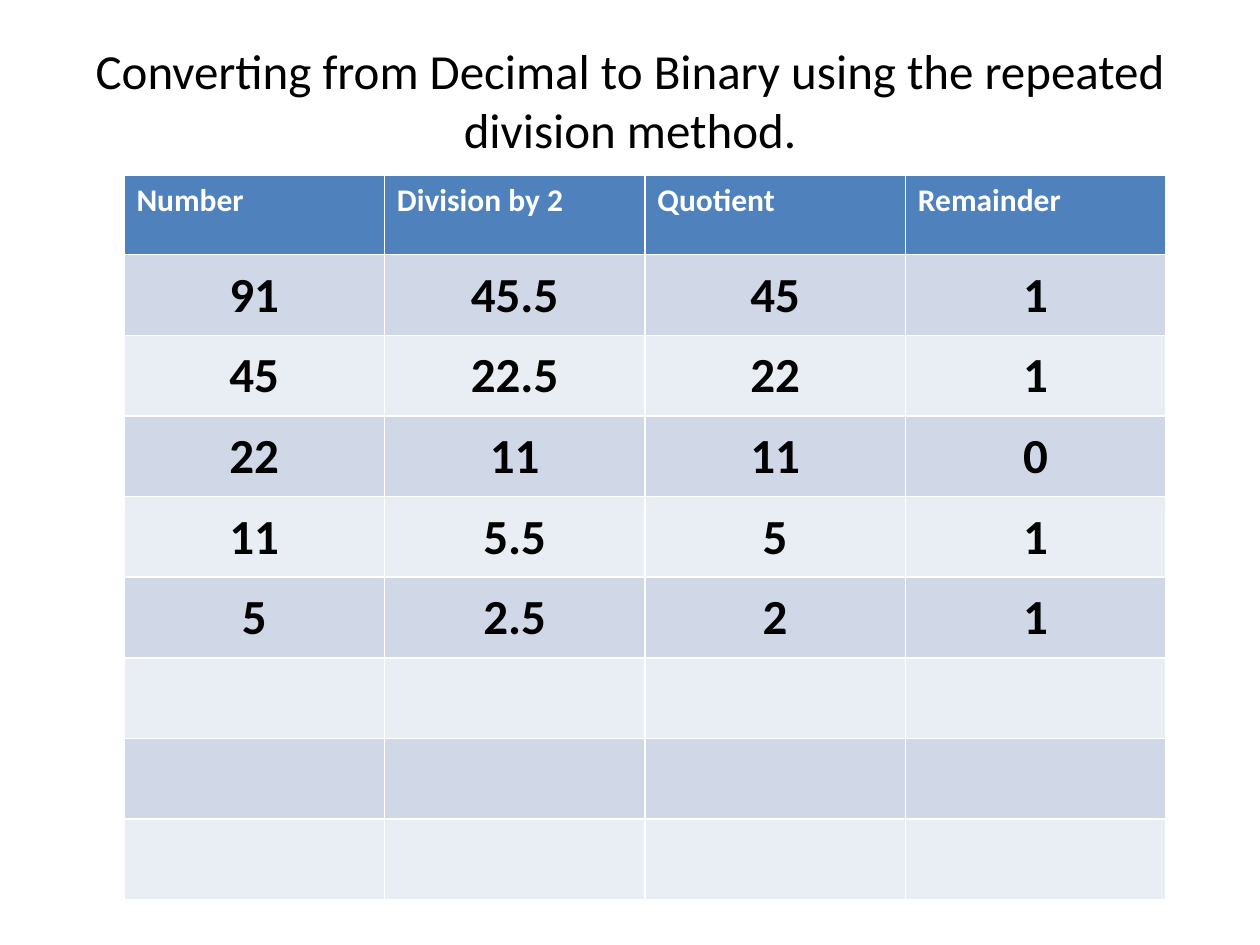
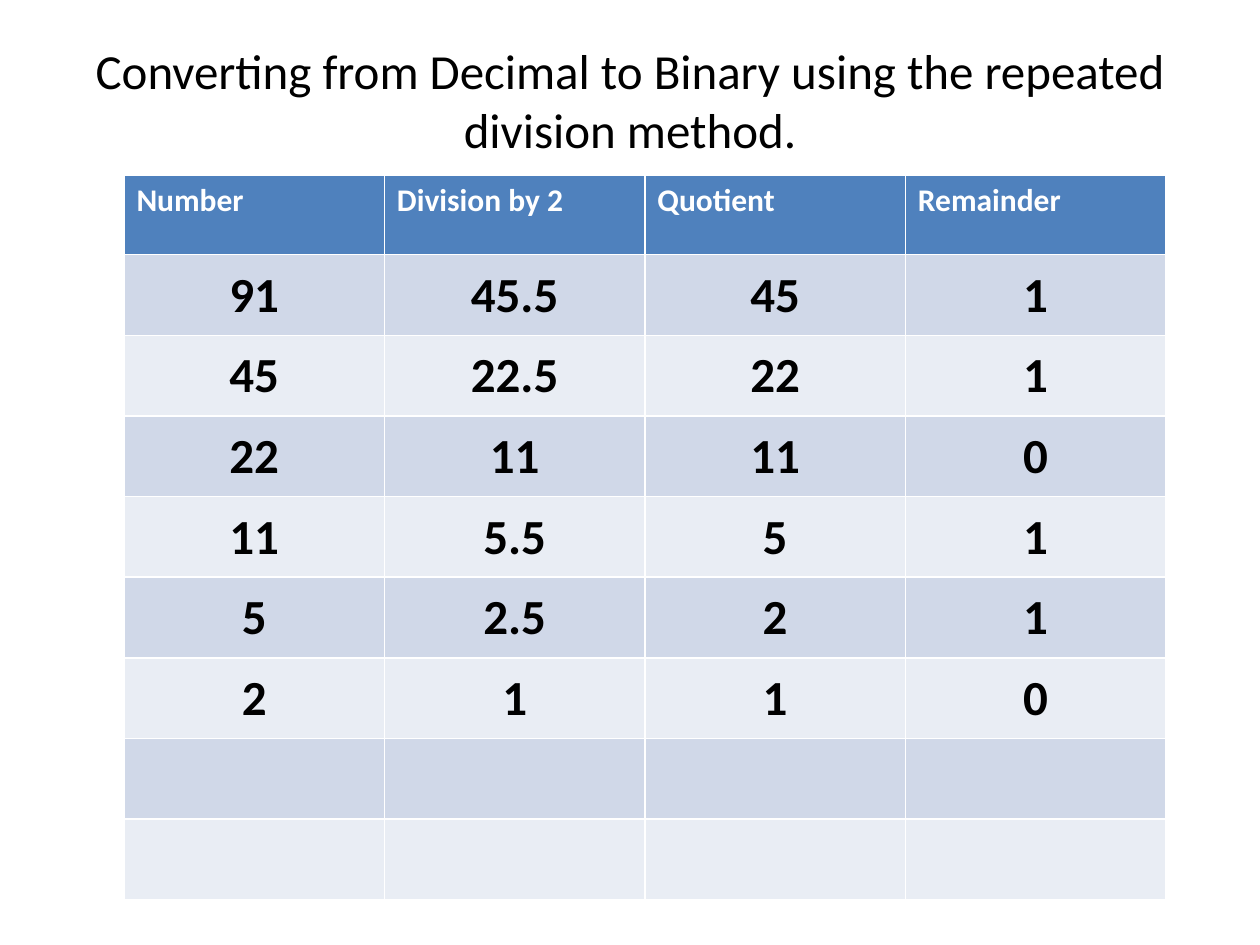
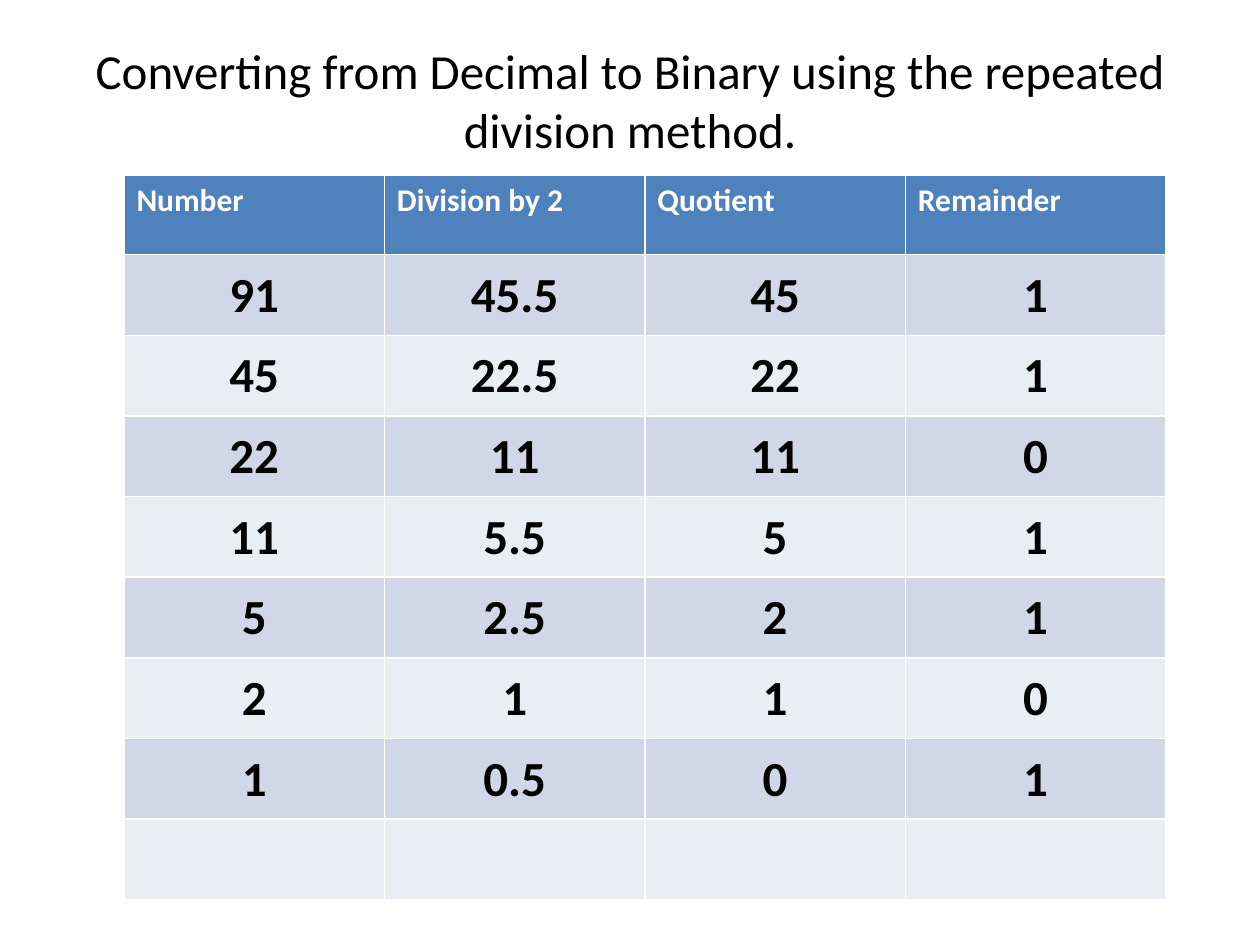
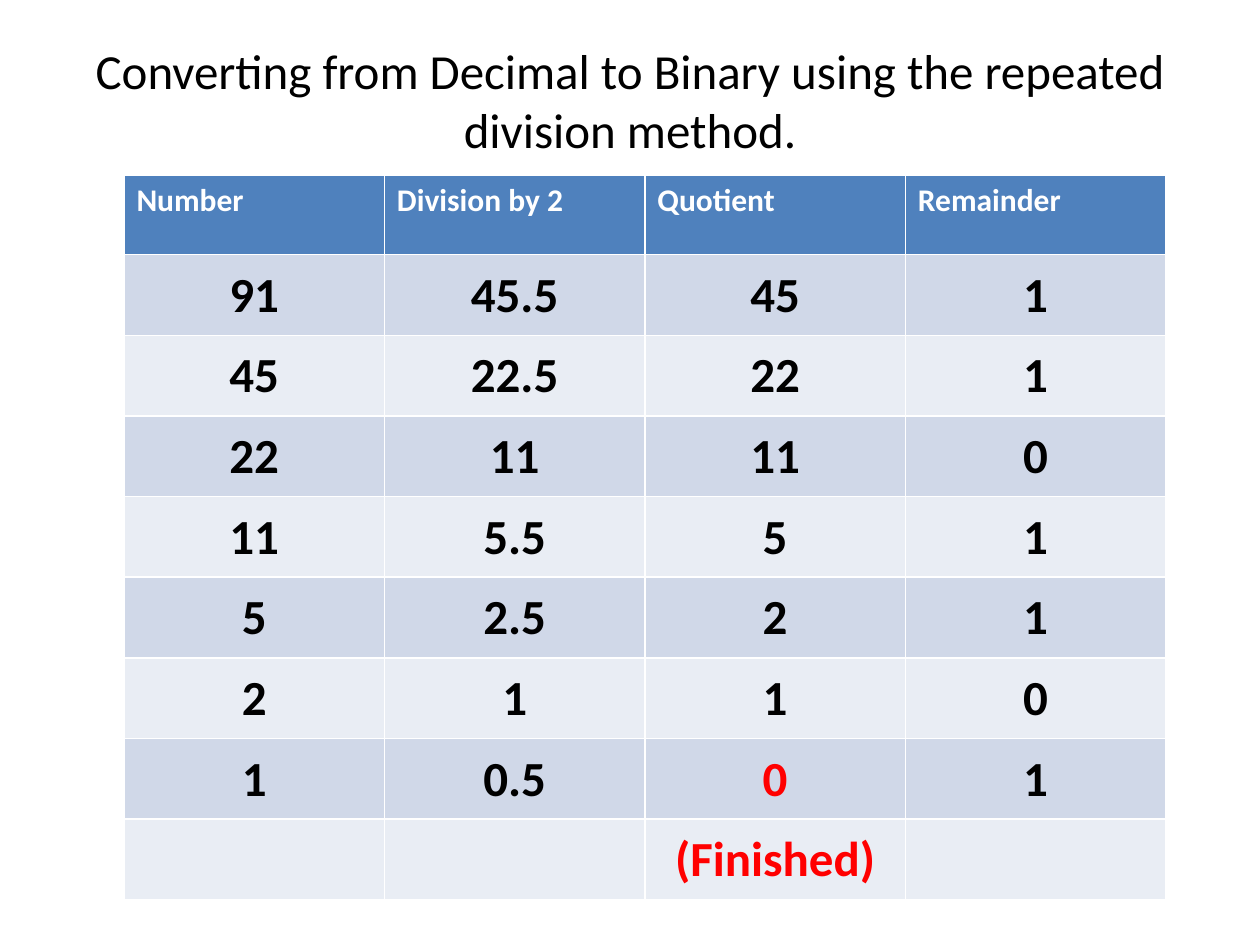
from pptx import Presentation
from pptx.dml.color import RGBColor
from pptx.enum.text import MSO_ANCHOR as Anchor, PP_ALIGN as Align
from pptx.util import Pt

BLACK = RGBColor(0x00, 0x00, 0x00)
WHITE = RGBColor(0xFF, 0xFF, 0xFF)
RED = RGBColor(0xFF, 0x00, 0x00)
HEADER_BLUE = RGBColor(0x4F, 0x81, 0xBD)
BANDS = [RGBColor(0xE9, 0xED, 0xF4), RGBColor(0xD0, 0xD8, 0xE8)]

FONT = "Calibri"
TITLE = "Converting from Decimal to Binary using the repeated division method."
HEADINGS = ["Number", "Division by 2", "Quotient", "Remainder"]
QUOTIENT = HEADINGS.index("Quotient")
ROW_COUNT = 9
COLUMN_WIDTH = 148.86
HEADER_HEIGHT = 45.36
ROW_HEIGHT = 46.08


def style_text(paragraph, size, colour, bold):
    paragraph.font.name = FONT
    paragraph.font.size = Pt(size)
    paragraph.font.color.rgb = colour
    paragraph.font.bold = bold


def fill_value(cell, text, colour):
    cell.text = text
    cell.vertical_anchor = Anchor.MIDDLE
    cell.margin_left = cell.margin_top = cell.margin_right = Pt(0.72)
    cell.margin_bottom = Pt(0)
    paragraph = cell.text_frame.paragraphs[0]
    paragraph.alignment = Align.CENTER
    style_text(paragraph, 28, colour, True)


divisions = []
number = 91
while number:
    quotient, remainder = divmod(number, 2)
    divisions.append([str(number), f"{number / 2:g}", str(quotient), str(remainder)])
    number = quotient

deck = Presentation()
deck.slide_width = Pt(720)
deck.slide_height = Pt(540)

for shown, finished in [(5, False), (6, False), (7, False), (7, True)]:
    page = deck.slides.add_slide(deck.slide_layouts[5])

    title = page.shapes.title
    title.left, title.top, title.width, title.height = Pt(36), Pt(21.6), Pt(648), Pt(70.6)
    frame = title.text_frame
    frame.text = TITLE
    frame.word_wrap = True
    frame.vertical_anchor = Anchor.MIDDLE
    frame.margin_top = frame.margin_bottom = Pt(0)
    frame.paragraphs[0].alignment = Align.CENTER
    style_text(frame.paragraphs[0], 28, BLACK, False)

    table = page.shapes.add_table(
        ROW_COUNT, len(HEADINGS), Pt(70.8), Pt(100.2),
        Pt(COLUMN_WIDTH * len(HEADINGS)),
        Pt(HEADER_HEIGHT + ROW_HEIGHT * (ROW_COUNT - 1)),
    ).table
    for column in table.columns:
        column.width = Pt(COLUMN_WIDTH)

    for index, row in enumerate(table.rows):
        row.height = Pt(ROW_HEIGHT if index else HEADER_HEIGHT)
        for cell in row.cells:
            cell.fill.solid()
            cell.fill.fore_color.rgb = BANDS[index % 2] if index else HEADER_BLUE

    for column, heading in enumerate(HEADINGS):
        cell = table.cell(0, column)
        cell.text = heading
        style_text(cell.text_frame.paragraphs[0], 18, WHITE, True)

    for index, values in enumerate(divisions[:shown], start=1):
        for column, value in enumerate(values):
            is_end = finished and index == shown and column == QUOTIENT
            fill_value(table.cell(index, column), value, RED if is_end else BLACK)

    if finished:
        fill_value(table.cell(shown + 1, QUOTIENT), "(Finished)", RED)

deck.save("out.pptx")
